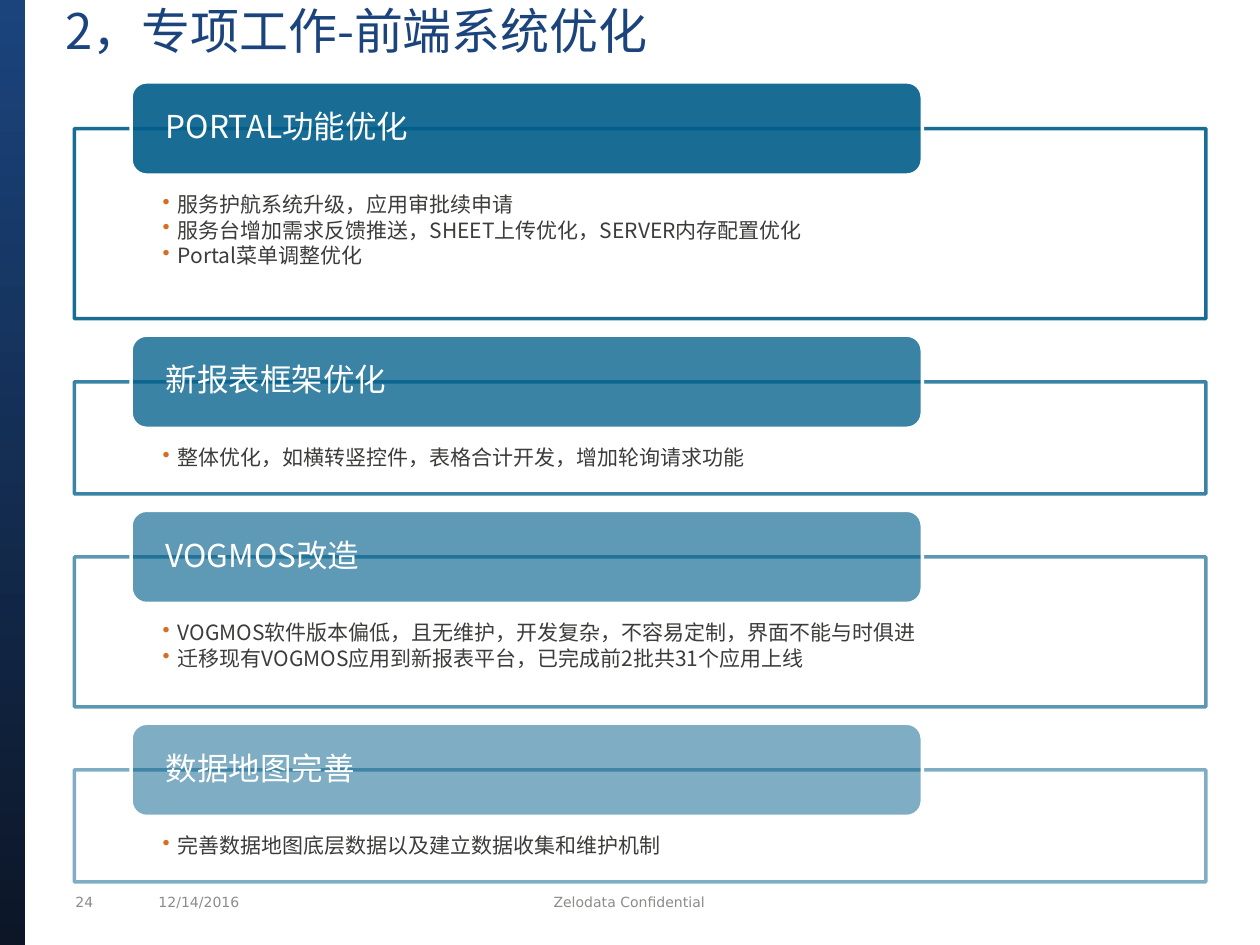
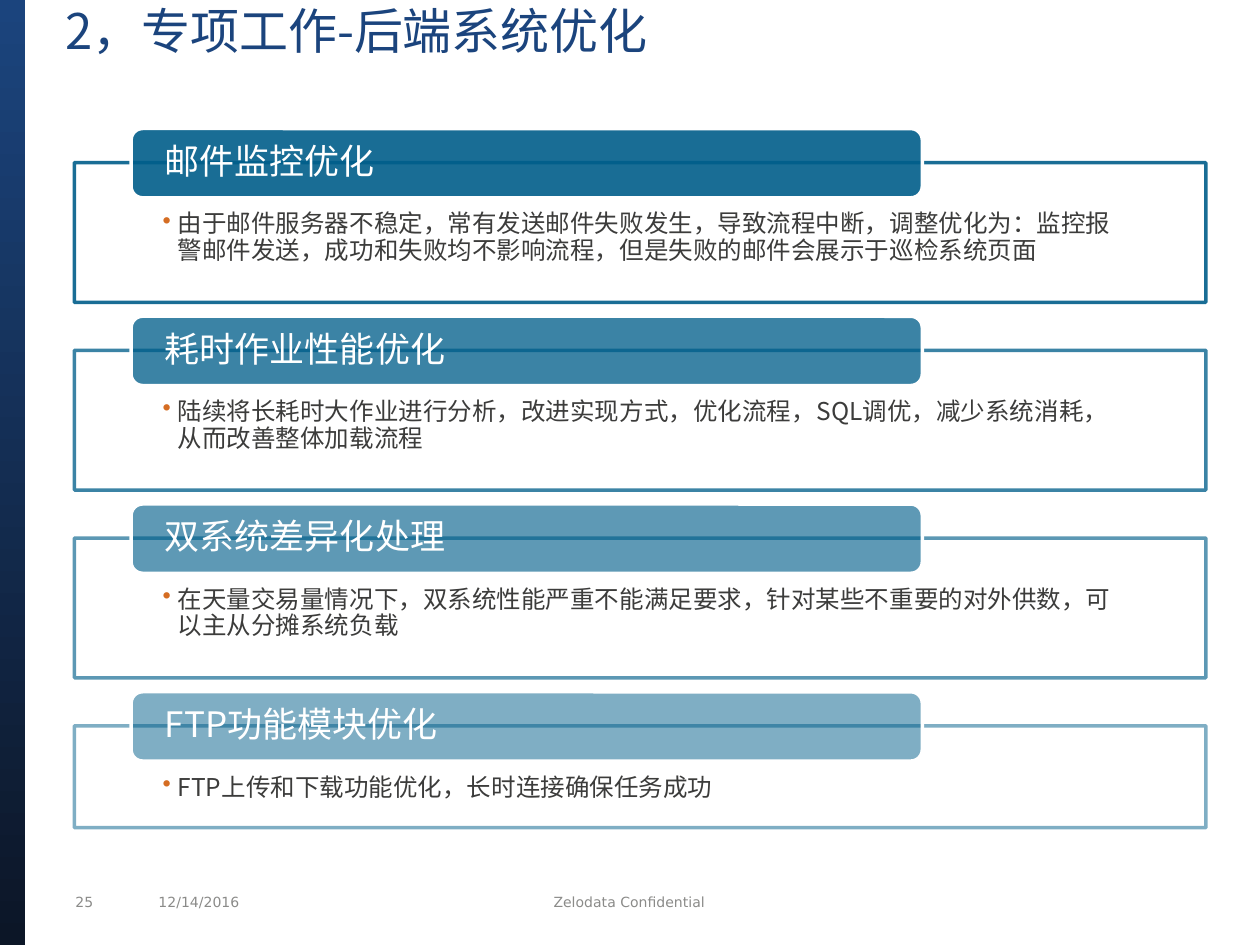
from dataclasses import dataclass

from lxml.etree import SubElement
from pptx import Presentation
from pptx.dml.color import RGBColor
from pptx.enum.shapes import MSO_SHAPE
from pptx.enum.text import MSO_ANCHOR, PP_ALIGN
from pptx.oxml.ns import qn
from pptx.util import Inches, Pt


@dataclass(frozen=True)
class Theme:
    """Colours, fonts and type sizes shared by the slides."""
    navy: str = "1B447D"
    midnight: str = "0C1627"
    teal: str = "005E8A"
    orange: str = "D56D23"
    ink: str = "3C3C3B"
    grey: str = "8B8B89"
    white: str = "FFFFFF"
    text_font: str = "Noto Sans CJK SC"
    footer_font: str = "DejaVu Sans"
    title_size: int = 28
    footer_size: int = 8
    outline: int = 2
    strengths: tuple = (90, 77, 63, 50)


@dataclass(frozen=True)
class Stack:
    """Measures of one stack of headed boxes, in inches and points."""
    top: float
    gap: float
    tab_rise: float
    tab_height: float
    inset_top: float
    inset_bottom: float
    head_size: int
    body_size: int


def set_values(target, values):
    """Set each named attribute of the target."""
    for name, value in values.items():
        setattr(target, name, value)


def set_alpha(fill, percent):
    """Make a solid fill partly transparent."""
    color = fill._xPr.find(qn("a:solidFill"))[0]
    SubElement(color, qn("a:alpha"), val=str(percent * 1000))


class SlideBuilder:
    """Holds the deck, its theme and the current page."""

    def __init__(self, theme):
        """Start an empty 10 by 7.5 inch deck."""
        self.theme = theme
        self.deck = Presentation()
        set_values(self.deck, {"slide_width": Inches(10), "slide_height": Inches(7.5)})
        self.page = None

    def add_page(self, title, number):
        """Add a page with side band, footers and title."""
        theme = self.theme
        self.page = self.deck.slides.add_slide(self.deck.slide_layouts[6])
        self.footer(str(number), 0.5, 0.5)
        self.footer("12/14/2016", 1.16, 1.67)
        self.footer("Zelodata Confidential", 2.91, 4.17, PP_ALIGN.CENTER)
        self.side_band()
        box = self.text_box((0.42, 0, 9.33, 1.25), (0.1, 0, 0.1, 0), MSO_ANCHOR.TOP)
        self.add_span(box.text_frame.paragraphs[0], title, theme.title_size, theme.navy)

    def side_band(self):
        """Draw the gradient band on the left edge."""
        band = self.shape(MSO_SHAPE.RECTANGLE, (0, 0, 0.2, 7.5))
        band.line.fill.background()
        band.fill.gradient()
        band.fill.gradient_angle = 90
        colors = (self.theme.midnight, self.theme.navy)
        for position, (stop, color) in enumerate(zip(band.fill.gradient_stops, colors)):
            stop.position = position
            stop.color.rgb = RGBColor.from_string(color)

    def footer(self, text, left, width, align=PP_ALIGN.LEFT):
        """Put one small text on the footer line."""
        theme = self.theme
        box = self.text_box((left, 7.04, width, 0.24), (0.1, 0.05, 0.1, 0.05), MSO_ANCHOR.MIDDLE)
        para = box.text_frame.paragraphs[0]
        para.alignment = align
        self.add_span(para, text, theme.footer_size, theme.grey, theme.footer_font)

    def shape(self, kind, place):
        """Add a preset shape without shadow."""
        shape = self.page.shapes.add_shape(kind, *map(Inches, place))
        shape.shadow.inherit = False
        return shape

    def text_box(self, place, insets, anchor):
        """Add an empty text box."""
        box = self.page.shapes.add_textbox(*map(Inches, place))
        self.frame(box, insets, anchor)
        return box

    def frame(self, shape, insets, anchor):
        """Set wrapping, anchor and insets of a shape's text."""
        sides = ("margin_left", "margin_top", "margin_right", "margin_bottom")
        margins = dict(zip(sides, map(Inches, insets)))
        set_values(shape.text_frame, {"word_wrap": True, "vertical_anchor": anchor, **margins})

    def add_span(self, para, text, size, color, font=None):
        """Add a styled run to a paragraph."""
        name = font or self.theme.text_font
        span = para.add_run()
        span.text = text
        set_values(span.font, {"size": Pt(size), "name": name})
        span.font.color.rgb = RGBColor.from_string(color)
        SubElement(span.font._element, qn("a:ea"), typeface=name)

    def spacing(self, para, after):
        """Set tight lines and a space after in percent; return the properties."""
        set_values(para, {"alignment": PP_ALIGN.LEFT, "line_spacing": 0.9})
        properties = para._p.get_or_add_pPr()
        space = SubElement(properties, qn("a:spcAft"))
        SubElement(space, qn("a:spcPct"), val=str(after * 1000))
        return properties

    def bullet(self, para, text, size):
        """Add one bulleted line."""
        para.level = 1
        properties = self.spacing(para, 15)
        properties.set("marL", str(Inches(0.12)))
        properties.set("indent", str(Inches(-0.12)))
        color = SubElement(properties, qn("a:buClr"))
        SubElement(color, qn("a:srgbClr"), val=self.theme.orange)
        SubElement(properties, qn("a:buChar"), char="•")
        self.add_span(para, text, size, self.theme.ink)

    def paint(self, shape, fill, fill_alpha, line, line_alpha):
        """Give a shape a transparent fill and an outline."""
        for part, color, alpha in ((shape.fill, fill, fill_alpha), (shape.line.fill, line, line_alpha)):
            part.solid()
            part.fore_color.rgb = RGBColor.from_string(color)
            if alpha < 100:
                set_alpha(part, alpha)
        shape.line.width = Pt(self.theme.outline)

    def body(self, stack, top, height, lines, strength):
        """Draw the outlined box with its bullets."""
        theme = self.theme
        box = self.shape(MSO_SHAPE.RECTANGLE, (0.59, top, 8.98, height))
        self.paint(box, theme.white, 90, theme.teal, strength)
        self.frame(box, (0.7, stack.inset_top, 0.7, stack.inset_bottom), MSO_ANCHOR.TOP)
        for index, line in enumerate(lines):
            text = box.text_frame
            para = text.add_paragraph() if index else text.paragraphs[0]
            self.bullet(para, line, stack.body_size)

    def tab(self, stack, top, head, strength):
        """Draw the rounded heading over a box's top edge."""
        theme = self.theme
        tab = self.shape(MSO_SHAPE.ROUNDED_RECTANGLE, (1.04, top, 6.28, stack.tab_height))
        self.paint(tab, theme.teal, strength, theme.white, 100)
        self.frame(tab, (0.24, 0, 0.24, 0), MSO_ANCHOR.MIDDLE)
        para = tab.text_frame.paragraphs[0]
        self.spacing(para, 35)
        self.add_span(para, head, stack.head_size, theme.white)

    def headed_boxes(self, stack, topics):
        """Stack the topics downwards with equal gaps."""
        top = stack.top
        for (head, height, lines), strength in zip(topics, self.theme.strengths):
            self.body(stack, top, height, lines, strength)
            self.tab(stack, top - stack.tab_rise, head, strength)
            top += height + stack.gap


FRONT_STACK = Stack(1.02, 0.5, 0.37, 0.74, 0.52, 0.09, 18, 12)
BACK_STACK = Stack(1.29, 0.38, 0.27, 0.55, 0.39, 0.11, 20, 14)

FRONT_TOPICS = [
    ("PORTAL功能优化", 1.51, [
        "服务护航系统升级，应用审批续申请",
        "服务台增加需求反馈推送，SHEET上传优化，SERVER内存配置优化",
        "Portal菜单调整优化"]),
    ("新报表框架优化", 0.89, ["整体优化，如横转竖控件，表格合计开发，增加轮询请求功能"]),
    ("VOGMOS改造", 1.19, [
        "VOGMOS软件版本偏低，且无维护，开发复杂，不容易定制，界面不能与时俱进",
        "迁移现有VOGMOS应用到新报表平台，已完成前2批共31个应用上线"]),
    ("数据地图完善", 0.89, ["完善数据地图底层数据以及建立数据收集和维护机制"]),
]

BACK_TOPICS = [
    ("邮件监控优化", 1.11, [
        "由于邮件服务器不稳定，常有发送邮件失败发生，导致流程中断，调整优化为：监控报警邮件发送，"
        "成功和失败均不影响流程，但是失败的邮件会展示于巡检系统页面"]),
    ("耗时作业性能优化", 1.11, [
        "陆续将长耗时大作业进行分析，改进实现方式，优化流程，SQL调优，减少系统消耗，从而改善整体加载流程"]),
    ("双系统差异化处理", 1.11, [
        "在天量交易量情况下，双系统性能严重不能满足要求，针对某些不重要的对外供数，可以主从分摊系统负载"]),
    ("FTP功能模块优化", 0.81, ["FTP上传和下载功能优化，长时连接确保任务成功"]),
]


def main():
    """Build both pages and save the deck."""
    builder = SlideBuilder(Theme())
    builder.add_page("2，专项工作-前端系统优化", 24)
    builder.headed_boxes(FRONT_STACK, FRONT_TOPICS)
    builder.add_page("2，专项工作-后端系统优化", 25)
    builder.headed_boxes(BACK_STACK, BACK_TOPICS)
    builder.deck.save("out.pptx")


if __name__ == "__main__":
    main()
